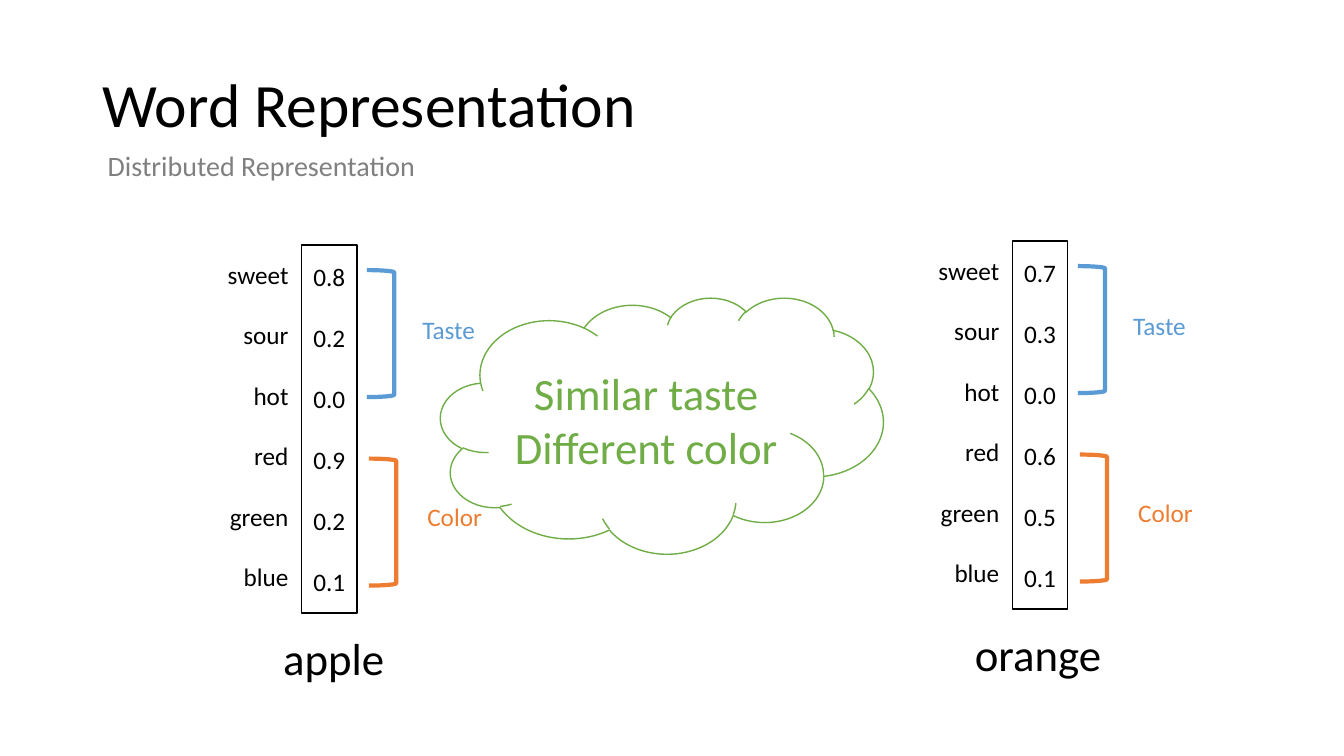
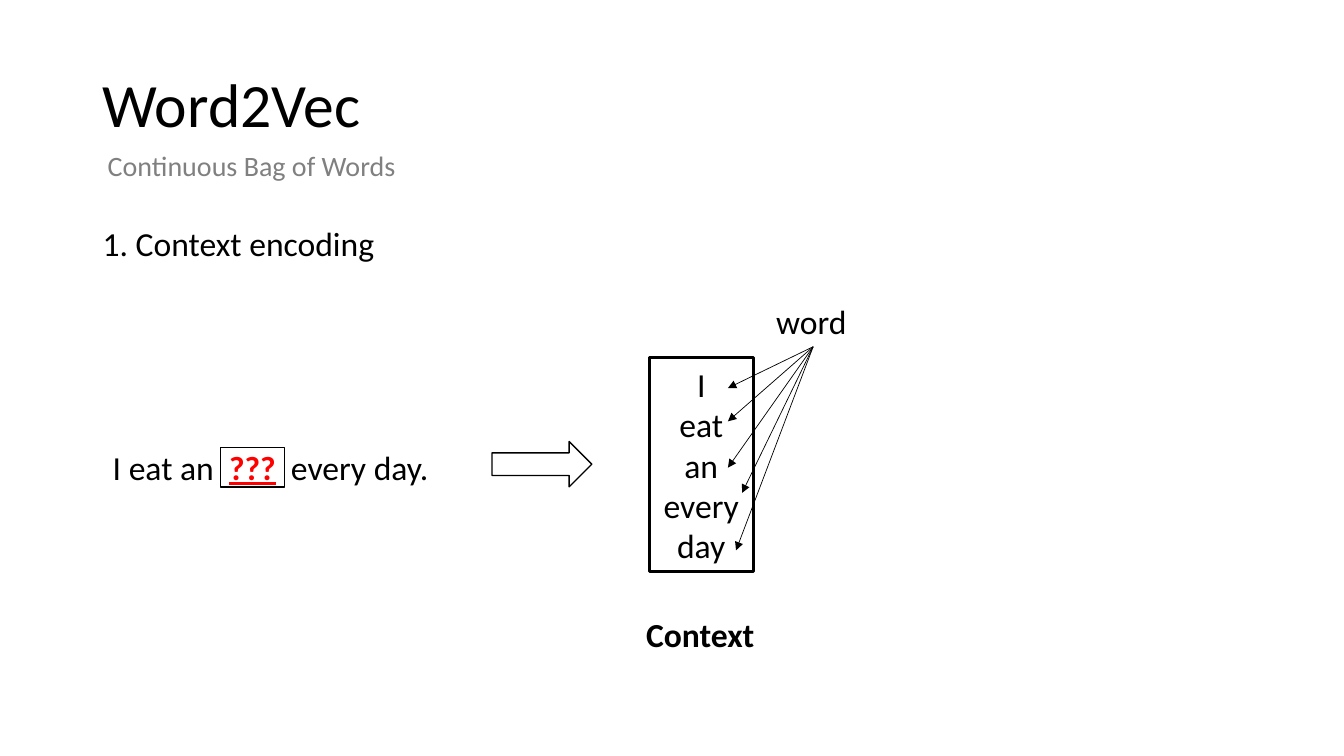
from lxml import etree
from pptx import Presentation
from pptx.dml.color import RGBColor
from pptx.enum.shapes import MSO_CONNECTOR, MSO_SHAPE as SHAPE
from pptx.enum.text import MSO_ANCHOR as ANCHOR, PP_ALIGN as ALIGN
from pptx.oxml.ns import qn
from pptx.util import Emu, Pt

BLACK, WHITE, GRAY, RED = "000000", "FFFFFF", "808080", "FF0000"
BLUE, ORANGE, GREEN = "5B9BD5", "ED7D31", "70AD47"


def px(n):
    """100 px to the inch."""
    return Emu(n * 9144)


def rgb(color):
    return RGBColor.from_string(color)


class Deck:
    font = "Calibri"

    def __init__(self):
        self.prs = Presentation()
        self.prs.slide_width, self.prs.slide_height = px(1333), px(750)
        self.s = None

    def slide(self, title, subtitle):
        self.s = self.prs.slides.add_slide(self.prs.slide_layouts[6])
        self.text(92, 30, 1150, 145, title, 44, anchor=ANCHOR.MIDDLE)
        self.text(97, 142, 500, 44, subtitle, 20, GRAY)

    def run(self, p, text, size, color=BLACK, bold=False, underline=False, spacing=0):
        r = p.add_run()
        r.text = text
        f = r.font
        f.name, f.size, f.bold, f.underline = self.font, Pt(size), bold, underline
        f.color.rgb = rgb(color)
        if spacing:
            r.font.fill  # make sure the run properties exist
            r._r.get_or_add_rPr().set("spc", str(spacing))

    def fill_text(self, sp, lines, size, color, align, anchor, bold=False, gap=0):
        tf = sp.text_frame
        tf.word_wrap, tf.vertical_anchor = True, anchor
        for i, line in enumerate(lines):
            p = tf.add_paragraph() if i else tf.paragraphs[0]
            p.alignment = align
            p.space_before = Pt(gap if i else 0)
            self.run(p, line, size, color, bold)
        return tf

    def text(self, x, y, w, h, text, size, color=BLACK, align=ALIGN.LEFT,
             anchor=ANCHOR.TOP, bold=False):
        sp = self.s.shapes.add_textbox(px(x), px(y), px(w), px(h))
        self.fill_text(sp, [text] if text else [], size, color, align, anchor, bold)
        return sp

    def shape(self, kind, x, y, w, h, line=BLACK, width=1, fill=None,
              lines=(), size=18, color=BLACK, gap=0):
        sp = self.s.shapes.add_shape(kind, px(x), px(y), px(w), px(h))
        sp.shadow.inherit = False
        if fill:
            sp.fill.solid()
            sp.fill.fore_color.rgb = rgb(fill)
        else:
            sp.fill.background()
        sp.line.color.rgb, sp.line.width = rgb(line), Pt(width)
        if lines:
            tf = self.fill_text(sp, lines, size, color, ALIGN.CENTER, ANCHOR.MIDDLE, gap=gap)
            tf.margin_left = tf.margin_right = 0
        return sp

    def arrow_from(self, source, x, y):
        """Thin arrow from the bottom middle of a box to a point."""
        c = self.s.shapes.add_connector(MSO_CONNECTOR.STRAIGHT, 0, 0, px(x), px(y))
        c.begin_connect(source, 2)
        c.line.color.rgb, c.line.width = rgb(BLACK), Pt(0.5)
        ln = c.line._get_or_add_ln()
        etree.SubElement(ln, qn("a:tailEnd"), type="triangle")
        etree.SubElement(c._element.spPr, qn("a:effectLst"))

    def word_vector(self, x, y, word, word_x, values):
        """Column of values with feature names, group brackets and the word below."""
        features = ["sweet", "sour", "hot", "red", "green", "blue"]
        for i, feature in enumerate(features):
            self.text(x - 123, y + 9 + 60 * i, 120, 40, feature, 18, align=ALIGN.RIGHT)
        self.shape(SHAPE.RECTANGLE, x, y, 55, 365, fill=WHITE, lines=values, gap=22)
        for i, (group, color) in enumerate([("Taste", BLUE), ("Color", ORANGE)]):
            self.shape(SHAPE.RIGHT_BRACKET, x + 65 + 2 * i, y + 25 + 187 * i, 27, 126, color, 3)
            self.text(x + 110 + 5 * i, y + 64 + 185 * i, 80, 40, group, 18, color)
        self.text(word_x, y + 378, 150, 64, word, 32)


def build_distributed(d):
    d.slide("Word Representation", "Distributed Representation")
    d.shape(SHAPE.CLOUD, 437, 295, 439, 254, GREEN, fill=WHITE,
            lines=["Similar taste", "Different color"], size=32, color=GREEN)
    d.word_vector(299, 243, "apple", 271, ["0.8", "0.2", "0.0", "0.9", "0.2", "0.1"])
    d.word_vector(1004, 239, "orange", 957, ["0.7", "0.3", "0.0", "0.6", "0.5", "0.1"])


def build_cbow(d):
    d.slide("Word2Vec", "Continuous Bag of Words")
    d.text(92, 216, 400, 50, "1. Context encoding", 24)

    # Sentence with the missing word framed; wider spaces leave room for the frame
    p = d.text(102, 438, 360, 50, "", 24).text_frame.paragraphs[0]
    d.run(p, "I eat an", 24)
    d.run(p, " ", 24, spacing=540)
    d.run(p, "???", 24, RED, bold=True, underline=True)
    d.run(p, " ", 24, spacing=540)
    d.run(p, "every day.", 24)
    d.shape(SHAPE.RECTANGLE, 219, 444, 63, 39)
    d.shape(SHAPE.RIGHT_ARROW, 488, 438, 99, 45, fill=WHITE)

    # Context words
    d.shape(SHAPE.RECTANGLE, 644, 355, 103, 212, width=2.25,
            lines=["I", "eat", "an", "every", "day"], size=24)
    d.text(631, 604, 140, 50, "Context", 24, bold=True)

    # Arrows from the label to each word
    label = d.text(760, 294, 93, 50, "word", 24)
    for x, y in [(722, 385), (722, 418), (722, 464), (736, 489), (730, 546)]:
        d.arrow_from(label, x, y)


def main():
    d = Deck()
    build_distributed(d)
    build_cbow(d)
    d.prs.save("out.pptx")


if __name__ == "__main__":
    main()
